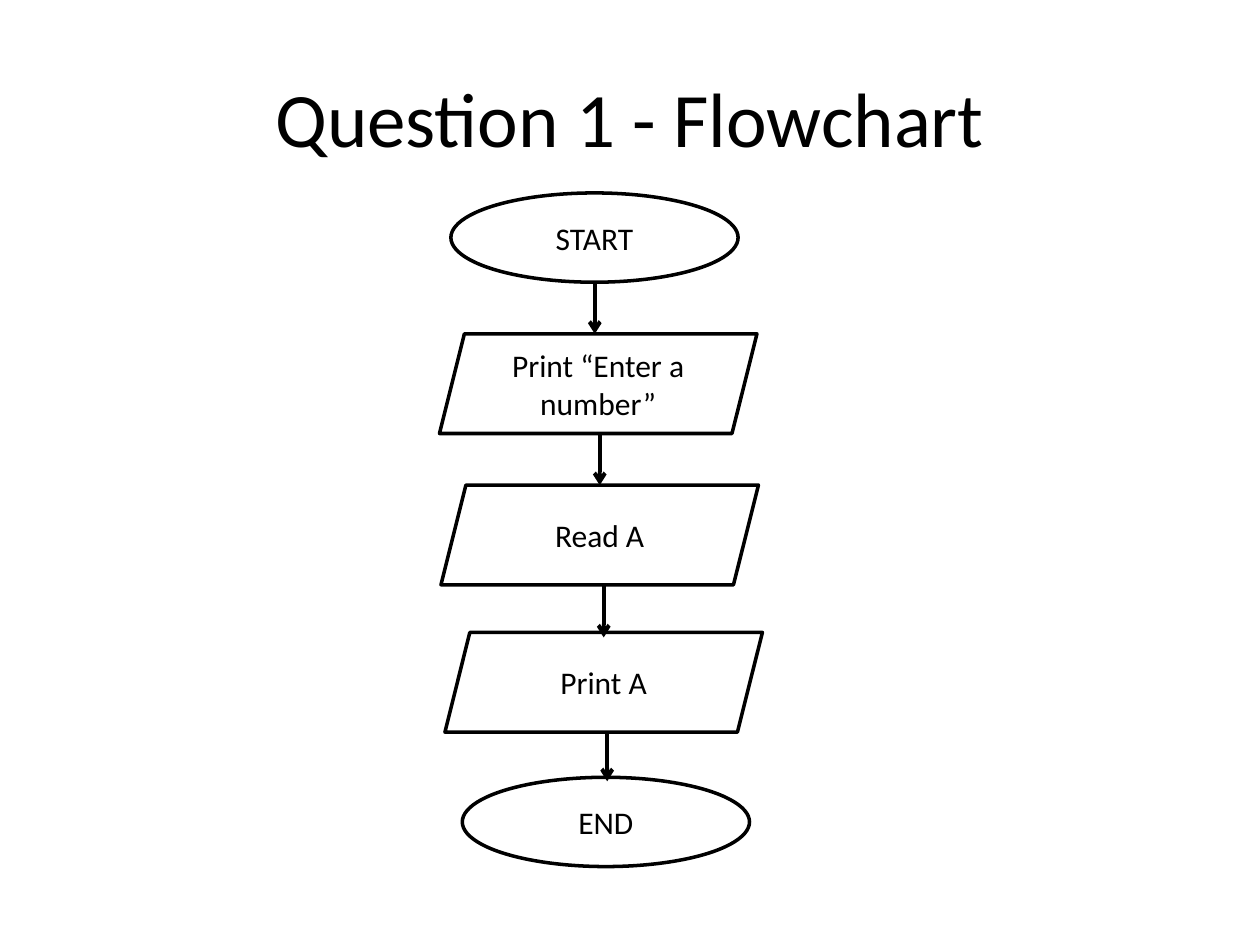
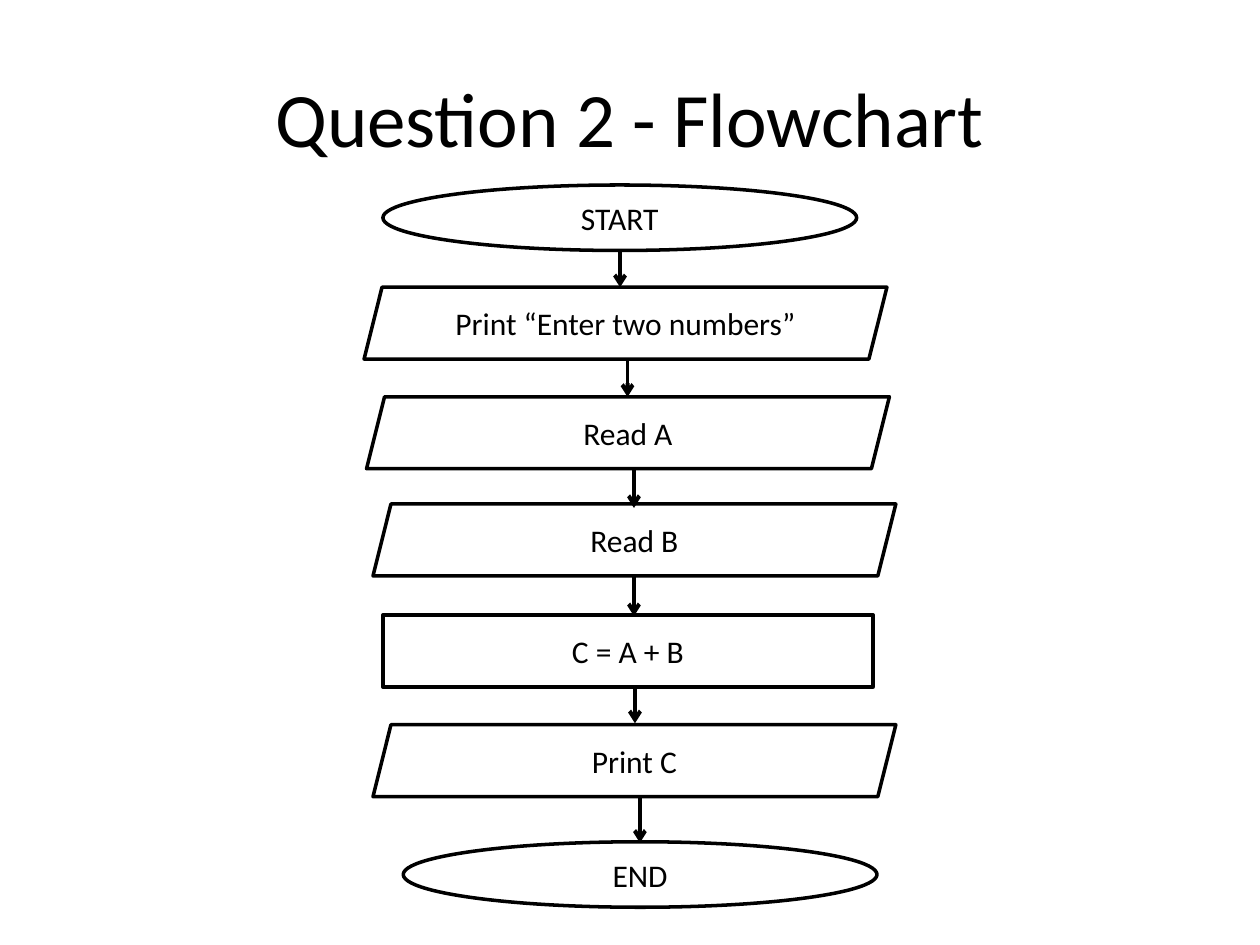
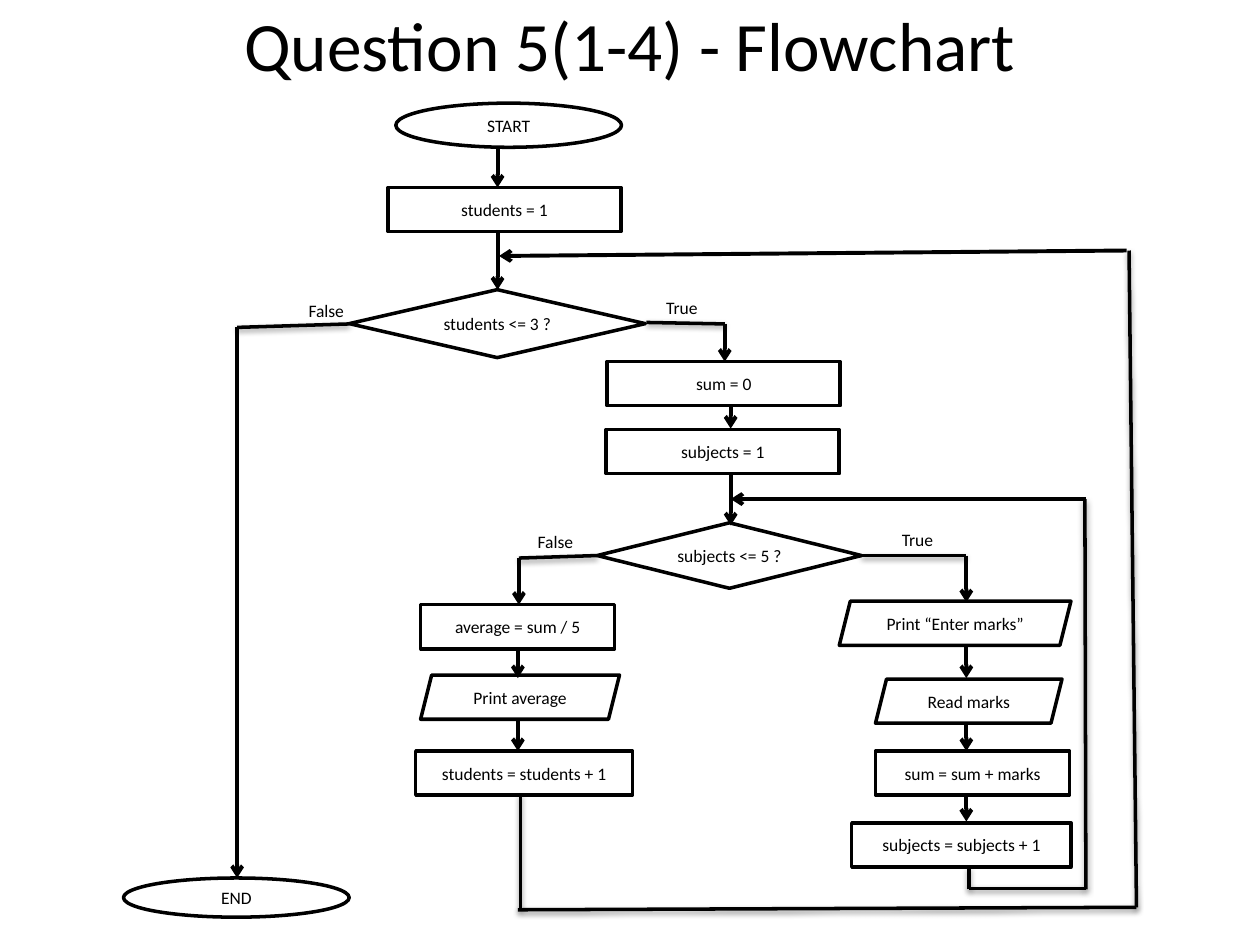
from lxml.etree import SubElement
from pptx import Presentation
from pptx.dml.color import RGBColor
from pptx.enum.shapes import MSO_CONNECTOR, MSO_SHAPE
from pptx.enum.text import MSO_ANCHOR, MSO_AUTO_SIZE, PP_ALIGN
from pptx.oxml.ns import qn
from pptx.util import Cm, Pt

COLORS = {"ink": "000000", "paper": "FFFFFF"}
FONT = "Calibri"
KINDS = {
    "end": MSO_SHAPE.OVAL,
    "io": MSO_SHAPE.PARALLELOGRAM,
    "step": MSO_SHAPE.RECTANGLE,
    "test": MSO_SHAPE.DIAMOND,
}

# Steps in cm: kind, text, left, top, then x and tip of the arrow leading in
FLOW_1 = [
    ("end", "START", 9.09, 3.89, None, None),
    ("io", "Print “Enter a number”", 8.86, 6.73, 11.99, 6.73),
    ("io", "Read A", 8.89, 9.78, 12.09, 9.78),
    ("io", "Print A", 8.97, 12.75, 12.17, 12.85),
    ("end", "END", 9.32, 15.67, 12.24, 15.75),
]
SIZES_1 = {"end": (5.79, 1.8), "io": (6.4, 2.01)}

FLOW_2 = [
    ("end", "START", 7.72, 3.73, None, None),
    ("io", "Print “Enter two numbers”", 7.34, 5.79, 12.5, 5.79),
    ("io", "Read A", 7.39, 8, 12.65, 8),
    ("io", "Read B", 7.52, 10.16, 12.78, 10.24),
    ("step", "C = A + B", 7.72, 12.4, 12.78, 12.42),
    ("io", "Print C", 7.52, 14.61, 12.8, 14.58),
    ("end", "END", 8.13, 16.97, 12.9, 16.99),
]
SIZES_2 = {"end": (9.55, 1.32), "io": (10.54, 1.45), "step": (9.88, 1.45)}

# Nested loops: kind, text, left, top, width, height
NODES = [
    ("end", "START", 7.98, 2.08, 4.55, 0.89),
    ("step", "students = 1", 7.82, 3.78, 4.7, 0.89),
    ("test", "students <= 3 ?", 7.04, 5.84, 5.97, 1.37),
    ("end", "END", 2.49, 17.7, 4.55, 0.79),
    ("step", "sum = 0", 12.24, 7.29, 4.7, 0.89),
    ("step", "subjects = 1", 12.22, 8.66, 4.7, 0.89),
    ("test", "subjects <= 5 ?", 12.04, 10.54, 5.33, 1.32),
    ("step", "average = sum / 5", 8.48, 12.19, 3.91, 0.89),
    ("io", "Print average", 8.48, 13.61, 4.01, 0.89),
    ("step", "students = students + 1", 8.38, 15.14, 4.37, 0.89),
    ("io", "Print “Enter marks”", 16.92, 12.12, 4.67, 0.89),
    ("io", "Read marks", 17.65, 13.69, 3.76, 0.89),
    ("step", "sum = sum + marks", 17.65, 15.14, 3.91, 0.89),
    ("step", "subjects = subjects + 1", 17.17, 16.59, 4.42, 0.89),
]
# Downward arrows: x, start, tip
DROPS = [
    (10.03, 2.97, 3.78), (10.03, 4.65, 5.84), (4.78, 6.6, 17.7),
    (14.61, 6.53, 7.29), (14.73, 8.18, 8.64), (14.73, 9.53, 10.59),
    (10.46, 11.25, 12.19), (10.44, 13.11, 13.67), (10.44, 14.5, 15.14),
    (19.48, 11.2, 12.14), (19.48, 13, 13.67), (19.48, 14.58, 15.14),
    (19.48, 16, 16.56),
]
# Arrows back to the loop heads: x1, y1, x2, y2
BACKS = [(21.89, 10.06, 14.73, 10.06), (22.71, 5.05, 10.06, 5.16)]
# Plain branch and loop lines
PATHS = [
    (4.78, 6.6, 7.04, 6.53), (13.03, 6.5, 14.61, 6.53),
    (10.46, 11.25, 12.04, 11.2), (17.37, 11.2, 19.48, 11.2),
    (19.53, 17.93, 19.53, 17.48), (19.53, 17.91, 21.89, 17.91),
    (21.89, 17.93, 21.87, 10.06), (10.49, 16, 10.49, 18.34),
    (10.44, 18.34, 22.91, 18.29), (22.91, 18.29, 22.76, 5.05),
]
# Branch labels: text, left, top, width
LABELS = [
    ("False", 5.97, 5.92, 1.63), ("True", 13.18, 5.87, 1.5),
    ("False", 10.59, 10.57, 1.63), ("True", 17.93, 10.54, 1.5),
]


def rgb(name):
    return RGBColor.from_string(COLORS[name])


def write(frame, text, size=18, align=PP_ALIGN.CENTER, anchor=MSO_ANCHOR.MIDDLE):
    frame.word_wrap = True
    frame.auto_size = MSO_AUTO_SIZE.NONE
    frame.vertical_anchor = anchor
    para = frame.paragraphs[0]
    para.alignment = align
    run = para.add_run()
    run.text = text
    run.font.name = FONT
    run.font.size = Pt(size)
    run.font.color.rgb = rgb("ink")


def place(shape, left, top, width, height):
    shape.left, shape.top = Cm(left), Cm(top)
    shape.width, shape.height = Cm(width), Cm(height)


def add_page(deck, text, top=0.76, height=3.18, size=44):
    page = deck.slides.add_slide(deck.slide_layouts[5])
    place(page.shapes.title, 1.27, top, 22.86, height)
    write(page.shapes.title.text_frame, text, size=size)
    return page


def add_node(page, kind, text, left, top, width, height, size=18):
    node = page.shapes.add_shape(
        KINDS[kind], Cm(left), Cm(top), Cm(width), Cm(height))
    node.shadow.inherit = False
    if kind == "end":
        node.fill.solid()
        node.fill.fore_color.rgb = rgb("paper")
    else:
        node.fill.background()
    node.line.color.rgb = rgb("ink")
    node.line.width = Pt(2)
    write(node.text_frame, text, size=size)


def add_line(page, x1, y1, x2, y2, arrow=True, shade=False):
    link = page.shapes.add_connector(
        MSO_CONNECTOR.STRAIGHT, Cm(x1), Cm(y1), Cm(x2), Cm(y2))
    link.line.color.rgb = rgb("ink")
    link.line.width = Pt(2.25 if arrow else 2)
    props = link._element.spPr
    if arrow:
        SubElement(props.find(qn("a:ln")), qn("a:tailEnd"), type="arrow")
    effects = SubElement(props, qn("a:effectLst"))
    if shade:
        cast = SubElement(effects, qn("a:outerShdw"), blurRad="40000",
                          dist="20000", dir="5400000", rotWithShape="0")
        tint = SubElement(cast, qn("a:srgbClr"), val=COLORS["ink"])
        SubElement(tint, qn("a:alpha"), val="38000")


def add_label(page, text, left, top, width):
    box = page.shapes.add_textbox(Cm(left), Cm(top), Cm(width), Cm(0.61))
    write(box.text_frame, text, size=10, align=PP_ALIGN.LEFT,
          anchor=MSO_ANCHOR.TOP)


def add_flow(page, flow, sizes):
    base = None
    for kind, text, left, top, x, tip in flow:
        width, height = sizes[kind]
        add_node(page, kind, text, left, top, width, height)
        if base is not None:
            add_line(page, x, base, x, tip)
        base = top + height


def add_loops(page):
    for node in NODES:
        add_node(page, *node, size=10)
    for path in PATHS:
        add_line(page, *path, arrow=False, shade=True)
    for x, start, tip in DROPS:
        add_line(page, x, start, x, tip)
    for back in BACKS:
        add_line(page, *back)
    for label in LABELS:
        add_label(page, *label)


def main():
    deck = Presentation()
    deck.slide_width, deck.slide_height = Cm(25.4), Cm(19.05)

    # Single-column flows
    add_flow(add_page(deck, "Question 1 - Flowchart"), FLOW_1, SIZES_1)
    add_flow(add_page(deck, "Question 2 - Flowchart"), FLOW_2, SIZES_2)

    # Nested loops
    add_loops(add_page(deck, "Question 5(1-4) - Flowchart",
                       top=0.23, height=1.32, size=39.6))
    deck.save("out.pptx")


if __name__ == "__main__":
    main()
